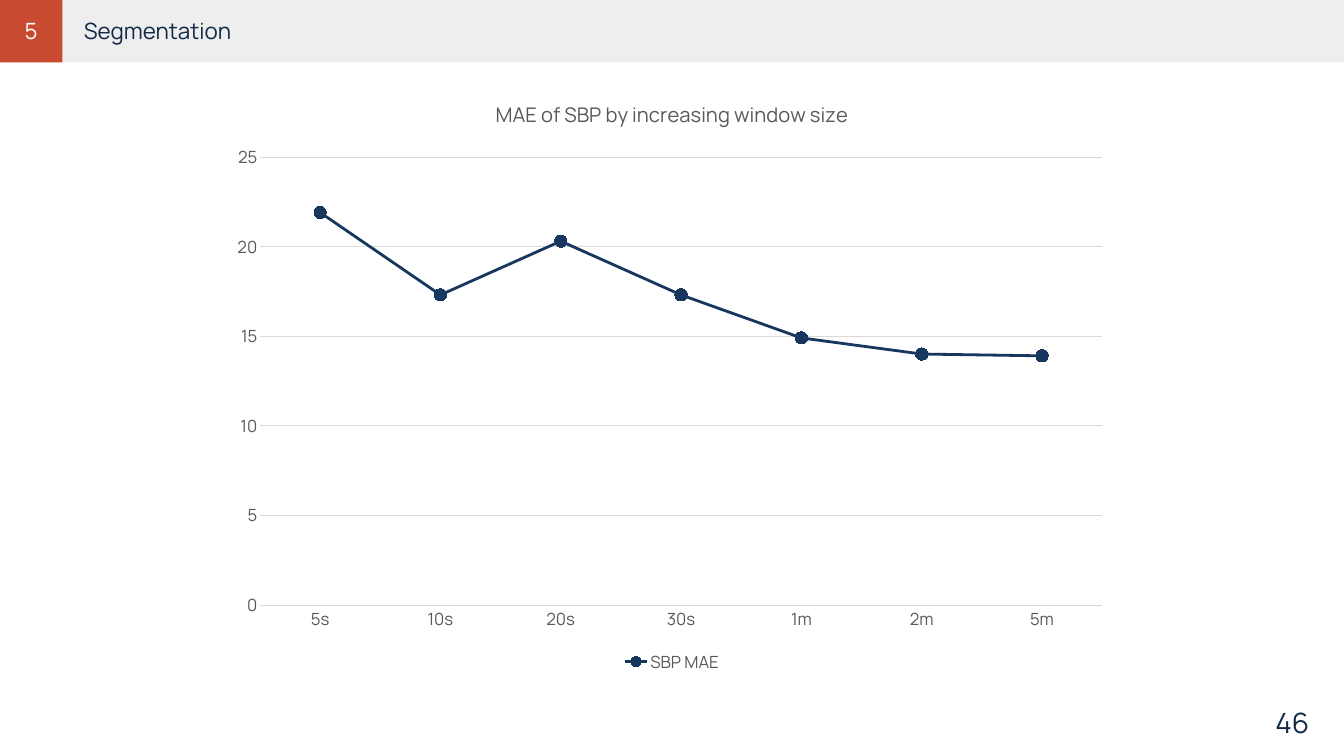
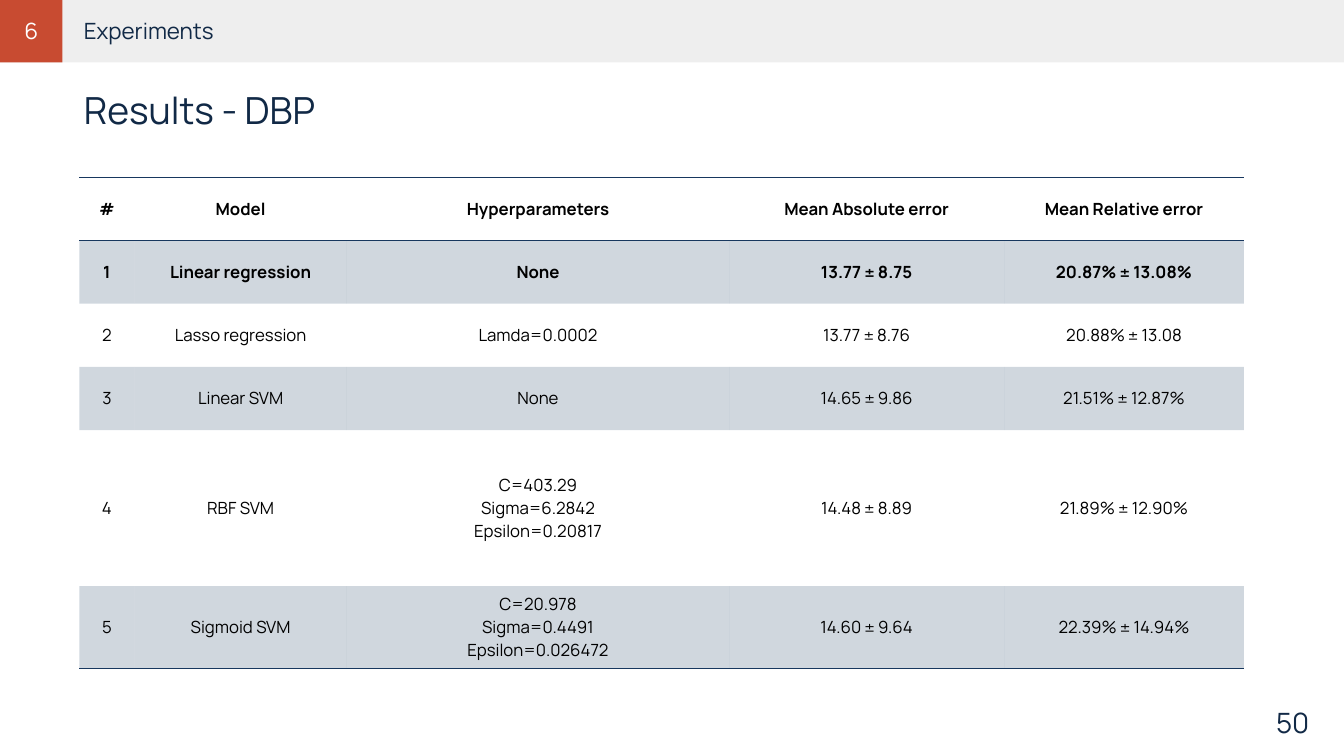
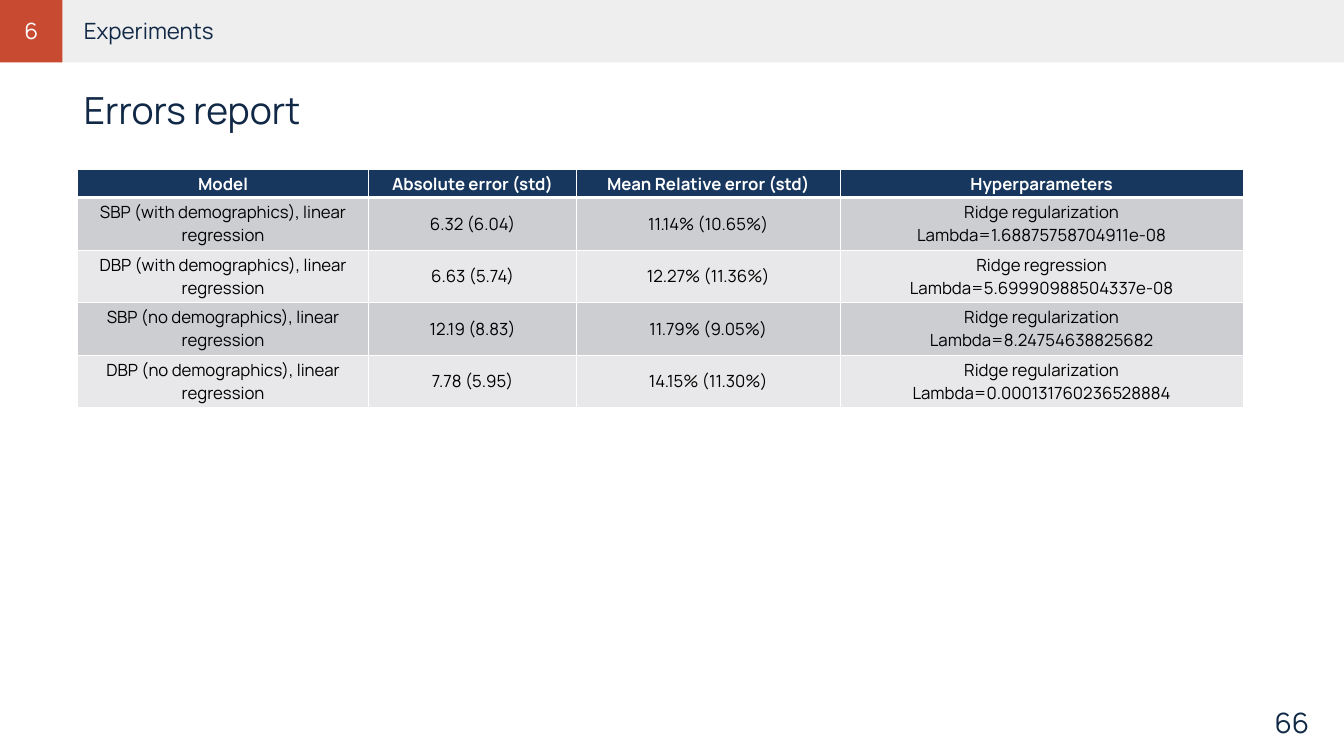
from collections import namedtuple

from lxml.etree import SubElement
from pptx import Presentation
from pptx.chart.data import CategoryChartData
from pptx.dml.color import RGBColor
from pptx.enum.chart import XL_CHART_TYPE as ChartType
from pptx.enum.chart import XL_LEGEND_POSITION as LegendPosition
from pptx.enum.chart import XL_MARKER_STYLE as MarkerStyle
from pptx.enum.chart import XL_TICK_MARK as TickMark
from pptx.enum.shapes import MSO_SHAPE as Preset
from pptx.enum.text import MSO_ANCHOR as Anchor
from pptx.enum.text import PP_ALIGN as Align
from pptx.oxml.ns import qn
from pptx.util import Cm, Pt

Box = namedtuple("Box", "left top width height")

FONT = "Manrope"
COLORS = {
    "band": "EEEEEE",
    "accent": "C84B31",
    "ink": "112946",
    "navy": "17375E",
    "white": "FFFFFF",
    "black": "000000",
    "label": "595959",
    "grid": "D9D9D9",
    "dark_row": "CCCED2",
    "light_row": "E8E8EA",
}
NO_STYLE = "{2D5ABB26-0587-4C30-8999-92F81FD0307C}"
BORDER_TAGS = {"left": "a:lnL", "right": "a:lnR", "top": "a:lnT", "bottom": "a:lnB"}

PAGE = Box(0, 0, 50.8, 28.58)
HEADER = Box(0, 0, PAGE.width, 2.36)
TITLE = Box(2.92, 3.3, 44.07, 1.85)
NUMBER = Box(43.82, 26.8, 5.92, 1.02)

RESULTS = [
    ["#", "Model", "Hyperparameters", "Mean Absolute error", "Mean Relative error"],
    ["1", "Linear regression", "None", "13.77 ± 8.75", "20.87% ± 13.08%"],
    ["2", "Lasso regression", "Lamda=0.0002", "13.77 ± 8.76", "20.88% ± 13.08"],
    ["3", "Linear SVM", "None", "14.65 ± 9.86", "21.51% ± 12.87%"],
    ["4", "RBF SVM", "C=403.29\nSigma=6.2842\nEpsilon=0.20817",
     "14.48 ± 8.89", "21.89% ± 12.90%"],
    ["5", "Sigmoid SVM", "C=20.978\nSigma=0.4491\nEpsilon=0.026472",
     "14.60 ± 9.64", "22.39% ± 14.94%"],
]
ERRORS = [
    ["Model", "Absolute error (std)", "Mean Relative error (std)", "Hyperparameters"],
    ["SBP (with demographics), linear regression", "6.32 (6.04)", "11.14% (10.65%)",
     "Ridge regularization\nLambda=1.68875758704911e-08"],
    ["DBP (with demographics), linear regression", "6.63 (5.74)", "12.27% (11.36%)",
     "Ridge regression\nLambda=5.69990988504337e-08"],
    ["SBP (no demographics), linear regression", "12.19 (8.83)", "11.79% (9.05%)",
     "Ridge regularization\nLambda=8.24754638825682"],
    ["DBP (no demographics), linear regression", "7.78 (5.95)", "14.15% (11.30%)",
     "Ridge regularization\nLambda=0.000131760236528884"],
]
WINDOW_MAE = {"5s": 21.9, "10s": 17.3, "20s": 20.3, "30s": 17.3,
              "1m": 14.9, "2m": 14, "5m": 13.9}


def rgb(name):
    return RGBColor.from_string(COLORS[name])


def in_cm(box):
    return [Cm(length) for length in box]


def style_font(font, size, color, bold=False):
    font.name = FONT
    font.size = Pt(size)
    font.bold = bold
    font.color.rgb = rgb(color)


def write(frame, text, size, color, align=Align.LEFT, bold=False):
    for index, line in enumerate(text.split("\n")):
        para = frame.add_paragraph() if index else frame.paragraphs[0]
        para.alignment = align
        span = para.add_run()
        span.text = line
        style_font(span.font, size, color, bold)


def add_text(page, box, text, size, color, align=Align.LEFT, anchor=Anchor.TOP, inset=0):
    frame = page.shapes.add_textbox(*in_cm(box)).text_frame
    frame.word_wrap = True
    frame.vertical_anchor = anchor
    frame.margin_top, frame.margin_bottom = Cm(inset), 0
    write(frame, text, size, color, align)


def add_band(page, box, color):
    band = page.shapes.add_shape(Preset.RECTANGLE, *in_cm(box))
    band.shadow.inherit = False
    band.fill.solid()
    band.fill.fore_color.rgb = rgb(color)
    band.line.fill.background()


def add_header(page, box, chapter, section):
    add_band(page, box, "band")
    add_band(page, box._replace(width=box.height), "accent")
    label = Box(box.left + 2.92, box.top + 0.58, 44.07, 1.14)
    add_text(page, label, section, 24, "ink", inset=0.07)
    add_text(page, label._replace(left=box.left + 0.28, width=1.8), chapter, 24, "white",
             Align.CENTER, inset=0.07)


def new_page(deck, chapter, section, number, title=None):
    page = deck.slides.add_slide(deck.slide_layouts[6])
    page.background.fill.solid()
    page.background.fill.fore_color.rgb = rgb("white")
    add_header(page, HEADER, chapter, section)
    add_text(page, NUMBER, number, 30, "ink", Align.RIGHT, Anchor.MIDDLE)
    if title:
        add_text(page, TITLE, title, 40, "ink")
    return page


def set_borders(cell, borders):
    properties = cell._tc.get_or_add_tcPr()
    for side, tag in BORDER_TAGS.items():
        color, width = borders.get(side, (None, 0))
        line = SubElement(properties, qn(tag), w=str(Pt(width)))
        if color:
            fill = SubElement(line, qn("a:solidFill"))
            SubElement(fill, qn("a:srgbClr"), val=COLORS[color])
        else:
            SubElement(line, qn("a:noFill"))


def fill_cell(cell, color, opacity=100):
    if color is None:
        cell.fill.background()
        return
    cell.fill.solid()
    cell.fill.fore_color.rgb = rgb(color)
    if opacity < 100:
        tint = cell._tc.tcPr.find(qn("a:solidFill")).find(qn("a:srgbClr"))
        SubElement(tint, qn("a:alpha"), val=str(opacity * 1000))


def add_grid(page, box, widths, heights, rows, row_style):
    table = page.shapes.add_table(len(rows), len(widths), *in_cm(box)).table
    table.first_row = table.horz_banding = False
    table._tbl.tblPr.find(qn("a:tableStyleId")).text = NO_STYLE
    for column, width in zip(table.columns, widths):
        column.width = Cm(width)
    for index, (row, height, texts) in enumerate(zip(table.rows, heights, rows)):
        row.height = Cm(height)
        style = row_style(index)
        for cell, text in zip(row.cells, texts):
            cell.vertical_anchor = Anchor.MIDDLE
            write(cell.text_frame, text, 18, style["ink"], Align.CENTER, style["bold"])
            set_borders(cell, style["borders"])
            fill_cell(cell, *style["fill"])


def results_row(index):
    rule = ("navy", 1)
    borders = {}
    if index == 0:
        borders["top"] = rule
    if index in (0, len(RESULTS) - 1):
        borders["bottom"] = rule
    if index == 1:
        borders["top"] = rule
    fill = ("navy", 20) if index % 2 else (None,)
    return {"ink": "black", "bold": index < 2, "borders": borders, "fill": fill}


def errors_row(index):
    borders = dict.fromkeys(BORDER_TAGS, ("white", 1))
    if index == 0:
        borders["bottom"] = ("white", 3)
        return {"ink": "white", "bold": True, "borders": borders, "fill": ("navy",)}
    if index == 1:
        borders["top"] = ("white", 3)
    fill = "dark_row" if index % 2 else "light_row"
    return {"ink": "black", "bold": False, "borders": borders, "fill": (fill,)}


def set_plot_layout(chart, **fractions):
    area = chart._chartSpace.chart.plotArea
    layout = area.find(qn("c:layout"))
    if layout is None:
        layout = SubElement(area, qn("c:layout"))
        area.insert(0, layout)
    manual = SubElement(layout, qn("c:manualLayout"))
    SubElement(manual, qn("c:layoutTarget"), val="inner")
    for mode in ("xMode", "yMode"):
        SubElement(manual, qn(f"c:{mode}"), val="edge")
    for name, fraction in fractions.items():
        SubElement(manual, qn(f"c:{name}"), val=str(fraction))


def style_axis(axis):
    axis.major_tick_mark = axis.minor_tick_mark = TickMark.NONE
    style_font(axis.tick_labels.font, 18, "label")


def style_line(line, color, width):
    line.color.rgb = rgb(color)
    line.width = Pt(width)


def add_mae_chart(page, box):
    data = CategoryChartData()
    data.categories = list(WINDOW_MAE)
    data.add_series("SBP MAE", list(WINDOW_MAE.values()))
    chart = page.shapes.add_chart(ChartType.LINE_MARKERS, *in_cm(box), data).chart
    style_font(chart.font, 18, "black")
    chart.has_title = True
    write(chart.chart_title.text_frame, "MAE of SBP by increasing window size", 21.6,
          "label", Align.CENTER)
    chart.has_legend = True
    chart.legend.position = LegendPosition.BOTTOM
    chart.legend.include_in_layout = False
    style_font(chart.legend.font, 18, "label")
    set_plot_layout(chart, x=0.04, y=0.13, w=0.94, h=0.75)

    style_axis(chart.category_axis)
    style_line(chart.category_axis.format.line, "grid", 0.75)
    values = chart.value_axis
    style_axis(values)
    values.minimum_scale, values.maximum_scale, values.major_unit = 0, 25, 5
    values.format.line.fill.background()
    style_line(values.major_gridlines.format.line, "grid", 0.75)

    chart.plots[0].vary_by_categories = False
    series = chart.plots[0].series[0]
    series.smooth = False
    style_line(series.format.line, "navy", 3)
    series.marker.style = MarkerStyle.CIRCLE
    series.marker.size = 13
    series.marker.format.fill.solid()
    series.marker.format.fill.fore_color.rgb = rgb("navy")
    series.marker.format.line.color.rgb = rgb("navy")


def main():
    deck = Presentation()
    deck.slide_width, deck.slide_height = Cm(PAGE.width), Cm(PAGE.height)

    page = new_page(deck, "5", "Segmentation", "46")
    add_mae_chart(page, Box(8.47, 3, 33.87, 22.58))

    page = new_page(deck, "6", "Experiments", "50", "Results - DBP")
    add_grid(page, Box(3, 6.7, 44.02, 18.56), [2.08, 8.03, 14.45, 10.39, 9.07],
             [2.39] * 4 + [5.9, 3.1], RESULTS, results_row)

    page = new_page(deck, "6", "Experiments", "66", "Errors report")
    add_grid(page, Box(2.92, 6.4, 44.07, 9.02), [11.02, 7.85, 9.96, 15.24],
             [1.06] + [1.99] * 4, ERRORS, errors_row)

    deck.save("out.pptx")


if __name__ == "__main__":
    main()
